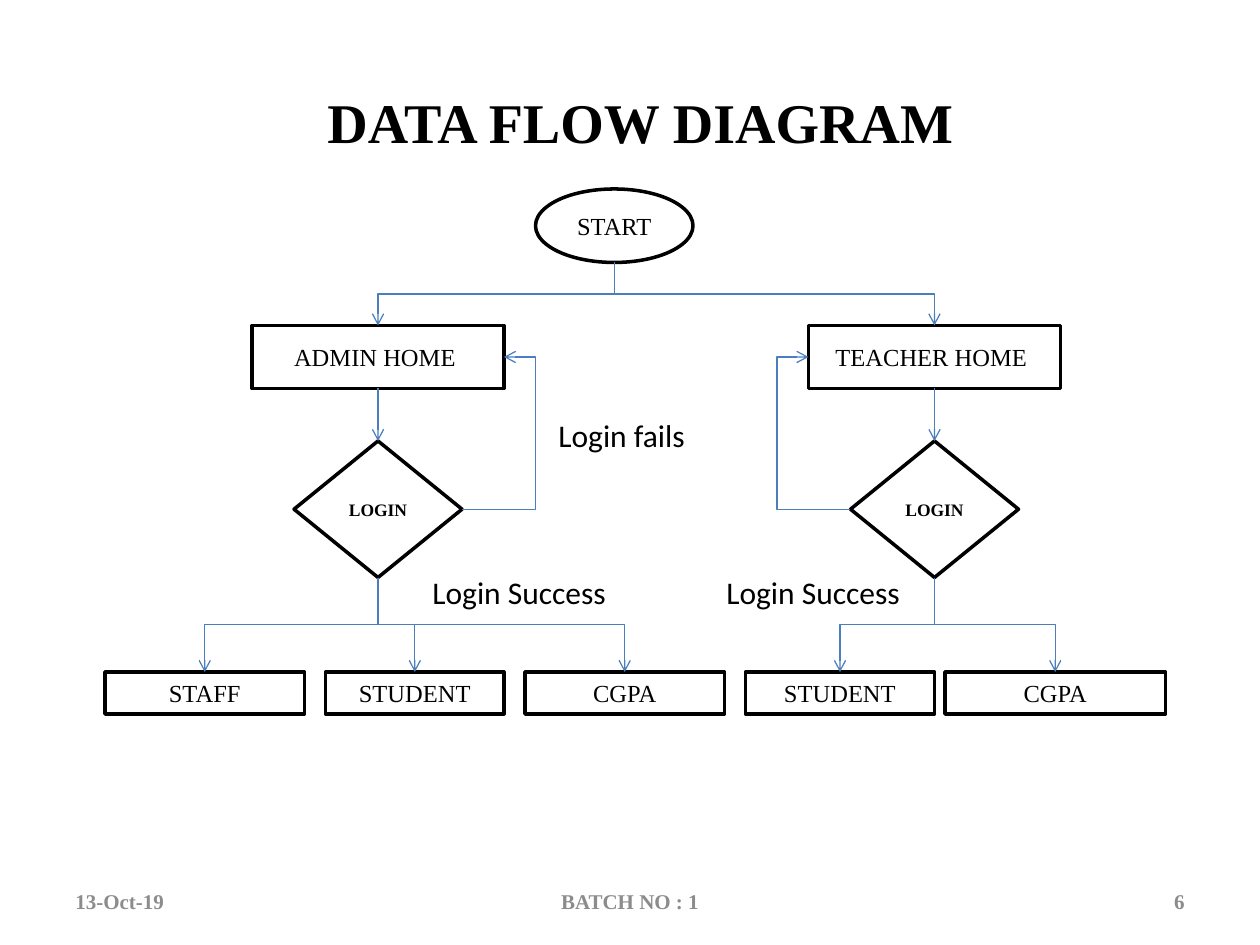
from lxml import etree
from pptx import Presentation
from pptx import util as u
from pptx.dml.color import RGBColor
from pptx.enum import shapes, text
from pptx.oxml.ns import qn

BLACK = RGBColor(0x00, 0x00, 0x00)
WHITE = RGBColor(0xFF, 0xFF, 0xFF)
BLUE = RGBColor(0x4B, 0x7E, 0xBC)
GREY = RGBColor(0x8C, 0x8C, 0x8C)
SERIF, SANS = "Times New Roman", "Calibri"
LEFT, CENTER, RIGHT = text.PP_ALIGN.LEFT, text.PP_ALIGN.CENTER, text.PP_ALIGN.RIGHT
TOP, MIDDLE = text.MSO_ANCHOR.TOP, text.MSO_ANCHOR.MIDDLE
KIND = shapes.MSO_SHAPE
LINE, ELBOW = shapes.MSO_CONNECTOR.STRAIGHT, shapes.MSO_CONNECTOR.ELBOW


class Flowchart:
    """Draws on one page; all lengths are in points."""

    def __init__(self, page):
        self.page = page

    def add_text(self, box, words, size, font=SERIF, color=BLACK, bold=False,
                 align=CENTER, anchor=MIDDLE, wrap=True):
        frame = box.text_frame
        frame.word_wrap = wrap
        frame.vertical_anchor = anchor
        para = frame.paragraphs[0]
        para.alignment = align
        span = para.add_run()
        span.text = words
        span.font.size = u.Pt(size)
        span.font.name = font
        span.font.bold = bold
        span.font.color.rgb = color

    def label(self, words, left, top, width, height, size, **style):
        box = self.page.shapes.add_textbox(*map(u.Pt, (left, top, width, height)))
        self.add_text(box, words, size, **style)

    def node(self, kind, words, left, top, width, height, size=14, bold=False):
        box = self.page.shapes.add_shape(kind, *map(u.Pt, (left, top, width, height)))
        box.shadow.inherit = False
        box.fill.solid()
        box.fill.fore_color.rgb = WHITE
        box.line.color.rgb = BLACK
        box.line.width = u.Pt(2)
        self.add_text(box, words, size, bold=bold)

    def arrow(self, kind, x1, y1, x2, y2):
        link = self.page.shapes.add_connector(kind, *map(u.Pt, (x1, y1, x2, y2)))
        link.line.color.rgb = BLUE
        link.line.width = u.Pt(0.75)
        properties = link.element.spPr
        etree.SubElement(properties.find(qn("a:ln")), qn("a:tailEnd"), type="arrow")
        etree.SubElement(properties, qn("a:effectLst"))
        return link

    def branch(self, x1, y1, x2, y2):
        """Elbow that leaves downwards: a level elbow turned by a quarter."""
        middle_x, middle_y = (x1 + x2) / 2, (y1 + y2) / 2
        half_width, half_height = (y2 - y1) / 2, abs(x2 - x1) / 2
        side = 1 if x2 < x1 else -1
        link = self.arrow(ELBOW, middle_x - side * half_width, middle_y - half_height,
                          middle_x + side * half_width, middle_y + half_height)
        degrees = 90 if side > 0 else 270
        link.element.spPr.find(qn("a:xfrm")).set("rot", str(degrees * 60000))

    def loop(self, x1, y1, x2, y2, bend):
        """Elbow whose upright part lies at bend times its width."""
        link = self.arrow(ELBOW, x1, y1, x2, y2)
        geometry = link.element.spPr.find(qn("a:prstGeom"))
        guides = geometry.find(qn("a:avLst"))
        if guides is None:
            guides = etree.SubElement(geometry, qn("a:avLst"))
        etree.SubElement(guides, qn("a:gd"), name="adj1", fmla=f"val {int(bend * 100000)}")


def main():
    deck = Presentation()
    deck.slide_width, deck.slide_height = u.Pt(720), u.Pt(540)
    chart = Flowchart(deck.slides.add_slide(deck.slide_layouts[6]))

    # Title and start
    chart.label("DATA FLOW DIAGRAM", 60, 42, 612, 54, 32, bold=True)
    start_x = 351
    chart.node(KIND.OVAL, "START", start_x - 45, 108, 90, 42)

    # One column per role: centre, side of the retry loop, leaves (name, left, width)
    columns = [
        ("ADMIN HOME ", 216, 1,
         [("STAFF", 60, 114), ("STUDENT", 186, 102), ("CGPA", 300, 114)]),
        ("TEACHER HOME ", 534, -1,
         [("STUDENT", 426, 108), ("CGPA", 540, 126)]),
    ]
    for home, x, side, leaves in columns:
        chart.node(KIND.RECTANGLE, home, x - 72, 186, 144, 36)
        chart.node(KIND.DIAMOND, "LOGIN", x - 48, 252, 96, 78, size=10, bold=True)
        chart.branch(start_x, 150, x, 186)
        chart.arrow(LINE, x, 222, x, 252)
        chart.loop(x + side * 48, 291, x + side * 72, 204, bend=1.75)
        for name, left, width in leaves:
            chart.node(KIND.RECTANGLE, name, left, 384, width, 24)
            chart.branch(x, 330, left + width / 2, 384)

    # Labels on the arrows
    note = dict(size=18, font=SANS, align=LEFT, anchor=TOP)
    chart.label("Login fails", 312, 234, 90, 29, **note)
    for left in (240, 408):
        chart.label("Login Success", left, 324, 115, 29, wrap=False, **note)

    # Footer
    for words, left, width, align in [("13-Oct-19", 36, 168, LEFT),
                                      ("BATCH NO : 1", 246, 228, CENTER),
                                      ("6", 516, 168, RIGHT)]:
        chart.label(words, left, 500.5, width, 28.75, 12, color=GREY, bold=True, align=align)

    deck.save("out.pptx")


if __name__ == "__main__":
    main()
